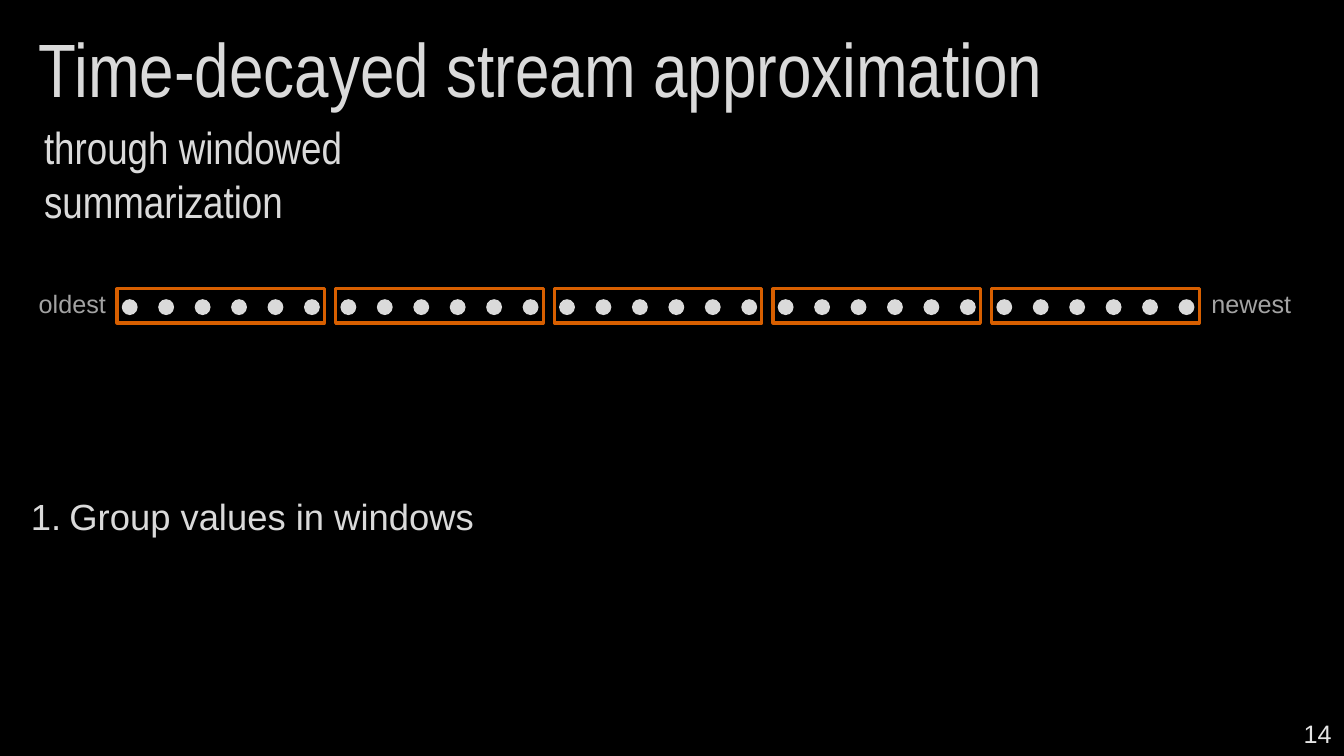
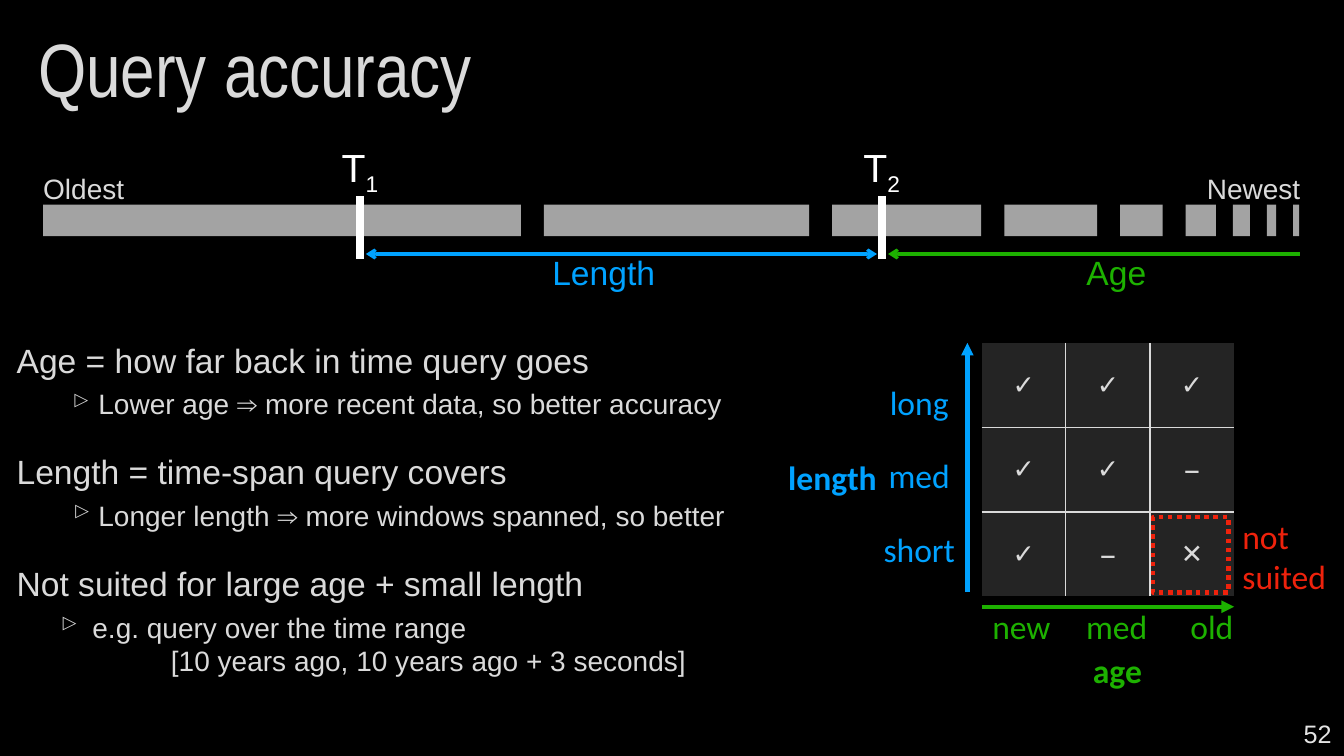
"""Build two slides on time-decayed stream approximation and query accuracy."""
from lxml import etree
from pptx import Presentation
from pptx.dml.color import RGBColor
from pptx.enum.dml import MSO_LINE
from pptx.enum.shapes import MSO_CONNECTOR, MSO_SHAPE
from pptx.enum.text import MSO_ANCHOR, PP_ALIGN
from pptx.oxml.ns import qn
from pptx.util import Cm, Pt

LEFT, CENTER, RIGHT = PP_ALIGN.LEFT, PP_ALIGN.CENTER, PP_ALIGN.RIGHT
TOP, MIDDLE = MSO_ANCHOR.TOP, MSO_ANCHOR.MIDDLE
RECTANGLE, OVAL = MSO_SHAPE.RECTANGLE, MSO_SHAPE.OVAL
STRAIGHT, DOTTED = MSO_CONNECTOR.STRAIGHT, MSO_LINE.ROUND_DOT
PLAIN_TABLE = "{2D5ABB26-0587-4C30-8999-92F81FD0307C}"

COLORS = {
    "background": "000000", "text": "DADADA", "muted": "A3A3A3",
    "number": "E4E4E4", "white": "FFFFFF", "window": "D75F00",
    "length": "00A2FF", "age": "1DB100", "warning": "EE220C", "cell": "242424",
}
BODY, HEADING, TABLE_FONT = "Arial", "Arial Narrow", "Calibri"

STREAM = {"left": 2.95, "top": 7.28, "windows": 5, "pitch": 5.51,
          "width": 5.23, "height": 0.86, "values": 6, "dot": 0.4}
STREAM_ENDS = [("oldest", 0.51, 2.41, RIGHT), ("newest", 30.28, 2.72, LEFT)]
STEPS = ["Group values in windows"]

TIMELINE = {"left": 1.09, "top": 5.16, "height": 0.79}
SEGMENTS = [(12.04, 0.58), (6.68, 0.58), (3.76, 0.58), (2.34, 0.58), (1.07, 0.58),
            (0.76, 0.43), (0.43, 0.43), (0.23, 0.43), (0.15, 0)]
TIMELINE_ENDS = [("Oldest", 0.84, 2.72, LEFT), ("Newest", 29.92, 3.1, RIGHT)]
MARKS = [("1", 9.07), ("2", 22.22)]
SPANS = [("Length", "length", 9.22, 22.1, 13.67, "arrow"),
         ("Age", "age", 22.38, 32.77, 27.13, None)]

EXPLANATION = [
    ("Age = how far back in time query goes",
     ["Lower age ⇒ more recent data, so better accuracy"], 2.26, 0.66),
    ("Length = time-span query covers",
     ["Longer length ⇒ more windows spanned, so better"], 2.26, 0.64),
    ("Not suited for large age + small length",
     ["e.g. query over the time range",
      "[10 years ago, 10 years ago + 3 seconds]"], 2.11, 0.81),
]
CONTINUATION_INDENT = 4.09

SUITABILITY = [["✓", "✓", "✓"], ["✓", "✓", "⎯"], ["✓", "⎯", "✕"]]
LENGTH_LABELS = [["long"], ["med"], ["short"]]
AGE_LABELS = [["new", "med", "old"]]
AXES = [("length", 24.38, 14.91, 24.38, 8.64), ("age", 24.74, 15.29, 31.1, 15.29)]
AXIS_TITLES = [("length", 19.43, 11.38, 3.1), ("age", 26.47, 16.26, 3.38)]


def color(name):
    return RGBColor.from_string(COLORS[name])


def style(paragraph, size, color_name="text", font=BODY, align=LEFT, bold=False):
    paragraph.alignment = align
    paragraph.font.size = Pt(size)
    paragraph.font.name = font
    paragraph.font.bold = bold
    paragraph.font.color.rgb = color(color_name)


def add_text(slide, text, left, top, width, height, size, anchor=TOP, **look):
    box = slide.shapes.add_textbox(Cm(left), Cm(top), Cm(width), Cm(height))
    frame = box.text_frame
    frame.word_wrap = True
    frame.vertical_anchor = anchor
    frame.text = text
    for paragraph in frame.paragraphs:
        style(paragraph, size, **look)
    return frame


def add_block(slide, kind, left, top, width, height, fill=None, line=None, weight=0):
    shape = slide.shapes.add_shape(kind, Cm(left), Cm(top), Cm(width), Cm(height))
    shape.shadow.inherit = False
    if fill:
        shape.fill.solid()
        shape.fill.fore_color.rgb = color(fill)
    else:
        shape.fill.background()
    if line:
        shape.line.color.rgb = color(line)
        shape.line.width = Pt(weight)
    else:
        shape.line.fill.background()
    return shape


def add_line(slide, start_x, start_y, end_x, end_y, color_name, weight, head=None, tail=None):
    connector = slide.shapes.add_connector(
        STRAIGHT, Cm(start_x), Cm(start_y), Cm(end_x), Cm(end_y))
    connector.line.color.rgb = color(color_name)
    connector.line.width = Pt(weight)
    properties = connector._element.spPr
    outline = properties.find(qn("a:ln"))
    for tag, arrow in (("a:headEnd", head), ("a:tailEnd", tail)):
        if arrow:
            etree.SubElement(outline, qn(tag), type=arrow)
    etree.SubElement(properties, qn("a:effectLst"))


def set_indent(paragraph, left, hanging=0.0, bullet=None):
    properties = paragraph._p.get_or_add_pPr()
    properties.set("marL", str(Cm(left)))
    properties.set("indent", str(-Cm(hanging)))
    if bullet:
        tag, attribute, value = bullet
        mark = etree.Element(qn(tag))
        mark.set(attribute, value)
        properties.insert_element_before(mark, "a:tabLst", "a:defRPr", "a:extLst")


def add_border(cell, side):
    line = etree.Element(qn(f"a:ln{side}"), w=str(Pt(1)))
    fill = etree.SubElement(line, qn("a:solidFill"))
    etree.SubElement(fill, qn("a:srgbClr"), val=COLORS["text"])
    return line


def add_grid(slide, rows, left, top, column_width, row_height, size,
             color_name="text", bold=False, fill=None):
    row_count, column_count = len(rows), len(rows[0])
    table = slide.shapes.add_table(
        row_count, column_count, Cm(left), Cm(top),
        Cm(column_width * column_count), Cm(row_height * row_count)).table
    table.first_row = table.horz_banding = False
    table._tbl.tblPr.find(qn("a:tableStyleId")).text = PLAIN_TABLE
    for column in table.columns:
        column.width = Cm(column_width)
    for row_index, values in enumerate(rows):
        table.rows[row_index].height = Cm(row_height)
        for column_index, value in enumerate(values):
            cell = table.cell(row_index, column_index)
            cell.text = value
            cell.vertical_anchor = MIDDLE
            style(cell.text_frame.paragraphs[0], size, color_name, TABLE_FONT, CENTER, bold)
            if not fill:
                cell.fill.background()
                continue
            cell.fill.solid()
            cell.fill.fore_color.rgb = color(fill)
            inner = {"L": column_index > 0, "R": column_index < column_count - 1,
                     "T": row_index > 0, "B": row_index < row_count - 1}
            sides = [side for side, is_inner in inner.items() if is_inner]
            for position, side in enumerate(sides):
                cell._tc.get_or_add_tcPr().insert(position, add_border(cell, side))


def add_slide(presentation, title, number):
    slide = presentation.slides.add_slide(presentation.slide_layouts[6])
    frame = add_text(slide, title, 0.71, 0, 32.51, 3.68, 54, MIDDLE, font=HEADING)
    frame.paragraphs[0].line_spacing = 0.9
    add_text(slide, number, 26.19, 17.98, 7.62, 1.02, 18, MIDDLE,
             color_name="number", align=RIGHT)
    return slide


def build_windows(presentation):
    slide = add_slide(presentation, "Time-decayed stream approximation", "14")
    add_text(slide, "through windowed summarization", 0.86, 2.9, 10.2, 3, 32, font=HEADING)
    pitch, dot = STREAM["pitch"], STREAM["dot"]
    dot_top = STREAM["top"] + (STREAM["height"] - dot) / 2 + 0.03
    for window in range(STREAM["windows"]):
        left = STREAM["left"] + window * pitch
        add_block(slide, RECTANGLE, left, STREAM["top"], STREAM["width"], STREAM["height"],
                  line="window", weight=2.25)
        for value in range(STREAM["values"]):
            dot_left = left + 0.12 + value * pitch / STREAM["values"]
            add_block(slide, OVAL, dot_left, dot_top, dot, dot, fill="text")
    for text, left, width, align in STREAM_ENDS:
        add_text(slide, text, left, 7.14, width, 1.02, 18, color_name="muted", align=align)
    steps = add_text(slide, "\n".join(STEPS), 0.53, 12.32, 32.72, 6.05, 26)
    for paragraph in steps.paragraphs:
        set_indent(paragraph, 0.97, 0.97, ("a:buAutoNum", "type", "arabicPeriod"))


def add_timeline(slide):
    left = TIMELINE["left"]
    for width, gap in SEGMENTS:
        add_block(slide, RECTANGLE, left, TIMELINE["top"], width, TIMELINE["height"],
                  fill="muted")
        left += width + gap
    for text, left, width, align in TIMELINE_ENDS:
        add_text(slide, text, left, 4.19, width, 1.12, 20, align=align)
    for subscript, x in MARKS:
        add_line(slide, x, 4.95, x, 6.53, "white", 6)
        frame = add_text(slide, "T", x - 1, 3.48, 2, 1.45, 28,
                         color_name="white", align=CENTER)
        run = frame.paragraphs[0].add_run()
        run.text = subscript
        run._r.get_or_add_rPr().set("baseline", "-25000")
    for text, color_name, start, end, label_left, tail in SPANS:
        add_line(slide, start, 6.4, end, 6.4, color_name, 2.25, "arrow", tail)
        add_text(slide, text, label_left, 6.22, 3.35, 1.27, 24, color_name=color_name)


def add_explanation(slide):
    lines = [line for heading, details, _, _ in EXPLANATION for line in (heading, *details)]
    frame = add_text(slide, "\n".join(lines), -0.03, 8.43, 21.87, 9.47, 24)
    paragraphs = iter(frame.paragraphs)
    for topic, (_, details, indent, hanging) in enumerate(EXPLANATION):
        heading = next(paragraphs)
        heading.space_before = Pt(22 if topic else 0)
        set_indent(heading, 0.2)
        for position in range(len(details)):
            detail = next(paragraphs)
            detail.level = 1
            detail.font.size = Pt(20)
            if position:
                detail.space_before = Pt(0)
                set_indent(detail, CONTINUATION_INDENT)
            else:
                detail.space_before = Pt(5)
                set_indent(detail, indent, hanging, ("a:buChar", "char", "▹"))


def add_suitability(slide):
    add_grid(slide, SUITABILITY, 24.74, 8.64, 2.12, 2.13, 19, bold=True, fill="cell")
    add_grid(slide, LENGTH_LABELS, 21.64, 9.25, 3.05, 1.85, 24, "length")
    add_grid(slide, AGE_LABELS, 24.54, 15.19, 2.4, 1.27, 24, "age")
    for color_name, *ends in AXES:
        add_line(slide, *ends, color_name, 3, tail="triangle")
    for name, left, top, width in AXIS_TITLES:
        add_text(slide, name, left, top, width, 1.27, 24, color_name=name,
                 font=TABLE_FONT, align=CENTER, bold=True)
    warning = add_block(slide, RECTANGLE, 29.06, 13.03, 1.9, 1.9, line="warning", weight=3.25)
    warning.line.dash_style = DOTTED
    add_text(slide, "not\nsuited", 31.06, 12.88, 2.8, 2.31, 24,
             color_name="warning", font=TABLE_FONT)


def build_accuracy(presentation):
    slide = add_slide(presentation, "Query accuracy", "52")
    add_timeline(slide)
    add_explanation(slide)
    add_suitability(slide)


def main():
    presentation = Presentation()
    presentation.slide_width, presentation.slide_height = Cm(33.87), Cm(19.05)
    background = presentation.slide_master.background.fill
    background.solid()
    background.fore_color.rgb = color("background")
    build_windows(presentation)
    build_accuracy(presentation)
    presentation.save("out.pptx")


if __name__ == "__main__":
    main()
